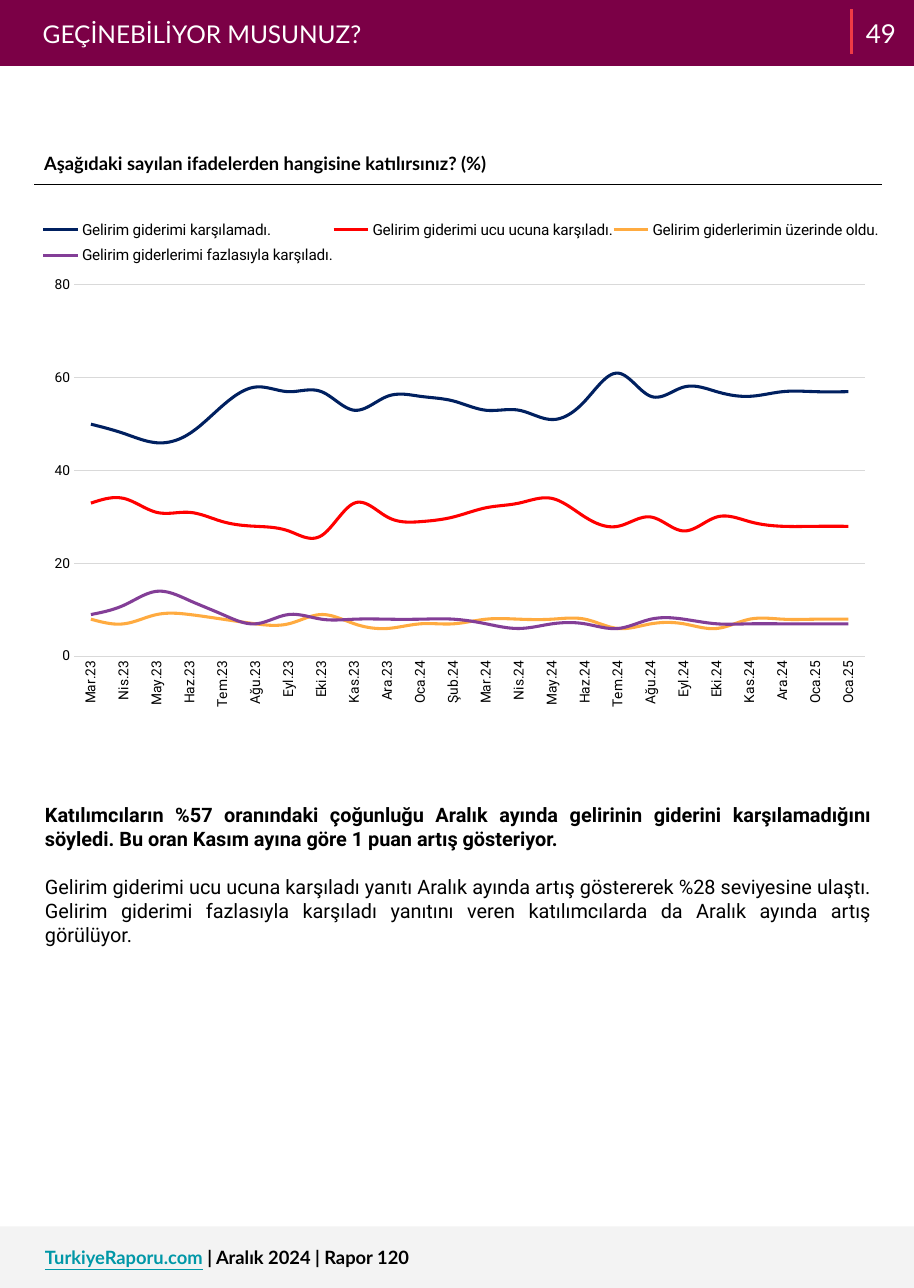
from lxml import etree
from pptx import Presentation
from pptx.chart import data as chart_data
from pptx.dml.color import RGBColor
from pptx.enum import chart as ce, shapes, text
from pptx.oxml import parse_xml
from pptx.oxml.ns import nsdecls, qn
from pptx.util import Inches, Pt

PLUM = RGBColor(0x7B, 0x00, 0x46)
RED = RGBColor(0xEF, 0x3B, 0x45)
TEAL = RGBColor(0x00, 0x97, 0xA7)
PALE = RGBColor(0xF3, 0xF3, 0xF3)
GRID = RGBColor(0xD9, 0xD9, 0xD9)
WHITE = RGBColor(0xFF, 0xFF, 0xFF)
BLACK = RGBColor(0, 0, 0)
NAVY = RGBColor(0x00, 0x20, 0x60)
SCARLET = RGBColor(0xFF, 0, 0)
ORANGE = RGBColor(0xFF, 0xAB, 0x40)
PURPLE = RGBColor(0x83, 0x3E, 0x97)

prs = Presentation()
prs.slide_width, prs.slide_height = Inches(8.3), Inches(11.7)
slide = prs.slides.add_slide(prs.slide_layouts[6])


def style(font, size, name, color, bold=False):
    font.size, font.name, font.bold = Pt(size), name, bold
    font.color.rgb = color


def add_text(left, top, width, height, inset=0.1):
    frame = slide.shapes.add_textbox(Inches(left), Inches(top), Inches(width), Inches(height)).text_frame
    frame.word_wrap = True
    frame.margin_left = frame.margin_right = Inches(0.1)
    frame.margin_top = frame.margin_bottom = Inches(inset)
    return frame


for top, height, color in [(11.14, 0.56, PALE), (0, 0.6, PLUM)]:
    band = slide.shapes.add_shape(
        shapes.MSO_SHAPE.RECTANGLE, 0, Inches(top), prs.slide_width, Inches(height))
    band.shadow.inherit = False
    band.fill.solid()
    band.fill.fore_color.rgb = color
    band.line.fill.background()

divider = slide.shapes.add_connector(
    shapes.MSO_CONNECTOR.STRAIGHT, Inches(7.73), Inches(0.08), Inches(7.73), Inches(0.49))
divider.line.color.rgb = RED
divider.line.width = Pt(2.25)
etree.SubElement(divider._element.spPr, qn("a:effectLst"))

footer = add_text(0.31, 11.22, 6.96, 0.4).paragraphs[0]
style(footer.font, 12, "Lato", BLACK, True)
site = footer.add_run()
site.text = "TurkiyeRaporu.com"
site.font.color.rgb = TEAL
site.font.underline = True
issue = footer.add_run()
issue.text = " | Aralık 2024 | Rapor 120"

page_frame = add_text(7.73, -0.15, 0.54, 0.9)
page_frame.vertical_anchor = text.MSO_ANCHOR.MIDDLE
page_number = page_frame.paragraphs[0]
page_number.text = "49"
page_number.alignment = text.PP_ALIGN.CENTER
style(page_number.font, 17, "Lato", WHITE)

title = add_text(0.29, 0.07, 7.4, 0.47).paragraphs[0]
title.text = "GEÇİNEBİLİYOR MUSUNUZ?"
style(title.font, 16, "Lato", WHITE)

question_table = slide.shapes.add_table(
    1, 1, Inches(0.3), Inches(1.25), Inches(7.71), Inches(0.43)).table
question_table.first_row = question_table.horz_banding = False
cell = question_table.cell(0, 0)
cell.margin_left = cell.margin_right = cell.margin_top = cell.margin_bottom = Inches(0.1)
question = cell.text_frame.paragraphs[0]
question.text = "Aşağıdaki sayılan ifadelerden hangisine katılırsınız? (%)"
question.line_spacing = 1.15
style(question.font, 12, "Lato", BLACK, True)
cell_props = cell._tc.get_or_add_tcPr()
for side, color in [("L", WHITE), ("R", WHITE), ("T", WHITE), ("B", BLACK)]:
    cell_props.append(parse_xml(
        f'<a:ln{side} {nsdecls("a")} w="9525"><a:solidFill><a:srgbClr val="{color}"/>'
        f'</a:solidFill></a:ln{side}>'))
cell.fill.solid()
cell.fill.fore_color.rgb = WHITE

comments = [
    ("Katılımcıların %57 oranındaki çoğunluğu Aralık ayında gelirinin giderini karşılamadığını "
     "söyledi. Bu oran Kasım ayına göre 1 puan artış gösteriyor.", True, 0),
    ("Gelirim giderimi ucu ucuna karşıladı yanıtı Aralık ayında artış göstererek %28 seviyesine "
     "ulaştı. Gelirim giderimi fazlasıyla karşıladı yanıtını veren katılımcılarda da Aralık "
     "ayında artış görülüyor.", False, 16),
]
comment_frame = add_text(0.31, 7.24, 7.69, 1.41, 0.05)
for index, (wording, bold, gap) in enumerate(comments):
    comment = comment_frame.add_paragraph() if index else comment_frame.paragraphs[0]
    comment.text = wording
    comment.alignment = text.PP_ALIGN.JUSTIFY
    comment.space_before = Pt(gap)
    style(comment.font, 13, "Roboto", BLACK, bold)

answers = [
    ("Gelirim giderimi karşılamadı.", NAVY,
     [50, 48, 46, 48, 54, 58, 57, 57, 53, 56, 56, 55, 53, 53, 51, 55, 61, 56, 58, 57, 56,
      57, 57, 57]),
    ("Gelirim giderimi ucu ucuna karşıladı.", SCARLET,
     [33, 34, 31, 31, 29, 28, 27, 26, 33, 30, 29, 30, 32, 33, 34, 30, 28, 30, 27, 30, 29,
      28, 28, 28]),
    ("Gelirim giderlerimin üzerinde oldu.", ORANGE,
     [8, 7, 9, 9, 8, 7, 7, 9, 7, 6, 7, 7, 8, 8, 8, 8, 6, 7, 7, 6, 8, 8, 8, 8]),
    ("Gelirim giderlerimi fazlasıyla karşıladı.", PURPLE,
     [9, 11, 14, 12, 9, 7, 9, 8, 8, 8, 8, 8, 7, 6, 7, 7, 6, 8, 8, 7, 7, 7, 7, 7]),
]
survey = chart_data.CategoryChartData()
survey.categories = (
    "Mar.23 Nis.23 May.23 Haz.23 Tem.23 Ağu.23 Eyl.23 Eki.23 Kas.23 Ara.23 Oca.24 Şub.24 "
    "Mar.24 Nis.24 May.24 Haz.24 Tem.24 Ağu.24 Eyl.24 Eki.24 Kas.24 Ara.24 Oca.25 Oca.25").split()
for name, color, values in answers:
    survey.add_series(name, values)
chart = slide.shapes.add_chart(
    ce.XL_CHART_TYPE.LINE, Inches(0.29), Inches(1.87), Inches(7.73), Inches(4.92), survey).chart
chart.has_title = False
style(chart.font, 10, "Roboto", BLACK)
chart.plots[0].vary_by_categories = False
for series, (name, color, values) in zip(chart.plots[0].series, answers):
    series.smooth = True
    series.format.line.color.rgb = color
    series.format.line.width = Pt(2)
    series.marker.style = ce.XL_MARKER_STYLE.NONE

months, percent = chart.category_axis, chart.value_axis
for axis in (months, percent):
    axis.major_tick_mark = axis.minor_tick_mark = ce.XL_TICK_MARK.NONE
    style(axis.tick_labels.font, 9, "Roboto", BLACK)
months.format.line.color.rgb = GRID
months.format.line.width = Pt(0.75)
months._element.find(qn("c:txPr")).find(qn("a:bodyPr")).set("rot", "-5400000")
percent.minimum_scale, percent.maximum_scale, percent.major_unit = 0, 80, 20
percent.format.line.fill.background()
percent.major_gridlines.format.line.color.rgb = GRID
percent.major_gridlines.format.line.width = Pt(0.75)

chart.has_legend = True
chart.legend.position = ce.XL_LEGEND_POSITION.BOTTOM
chart.legend.include_in_layout = False
style(chart.legend.font, 10, "Roboto", BLACK)

plot_area = chart._chartSpace.chart.plotArea
for part, index, target, (x, y, w, h) in [
        (plot_area, 0, '<c:layoutTarget val="inner"/>', (0.05, 0.146, 0.93, 0.686)),
        (chart.legend._element, 1, "", (0.012, 0.013, 0.985, 0.11))]:
    for old_layout in part.findall(qn("c:layout")):
        part.remove(old_layout)
    part.insert(index, parse_xml(
        f'<c:layout {nsdecls("c")}><c:manualLayout>{target}<c:xMode val="edge"/>'
        f'<c:yMode val="edge"/><c:x val="{x}"/><c:y val="{y}"/><c:w val="{w}"/>'
        f'<c:h val="{h}"/></c:manualLayout></c:layout>'))

prs.save("out.pptx")
